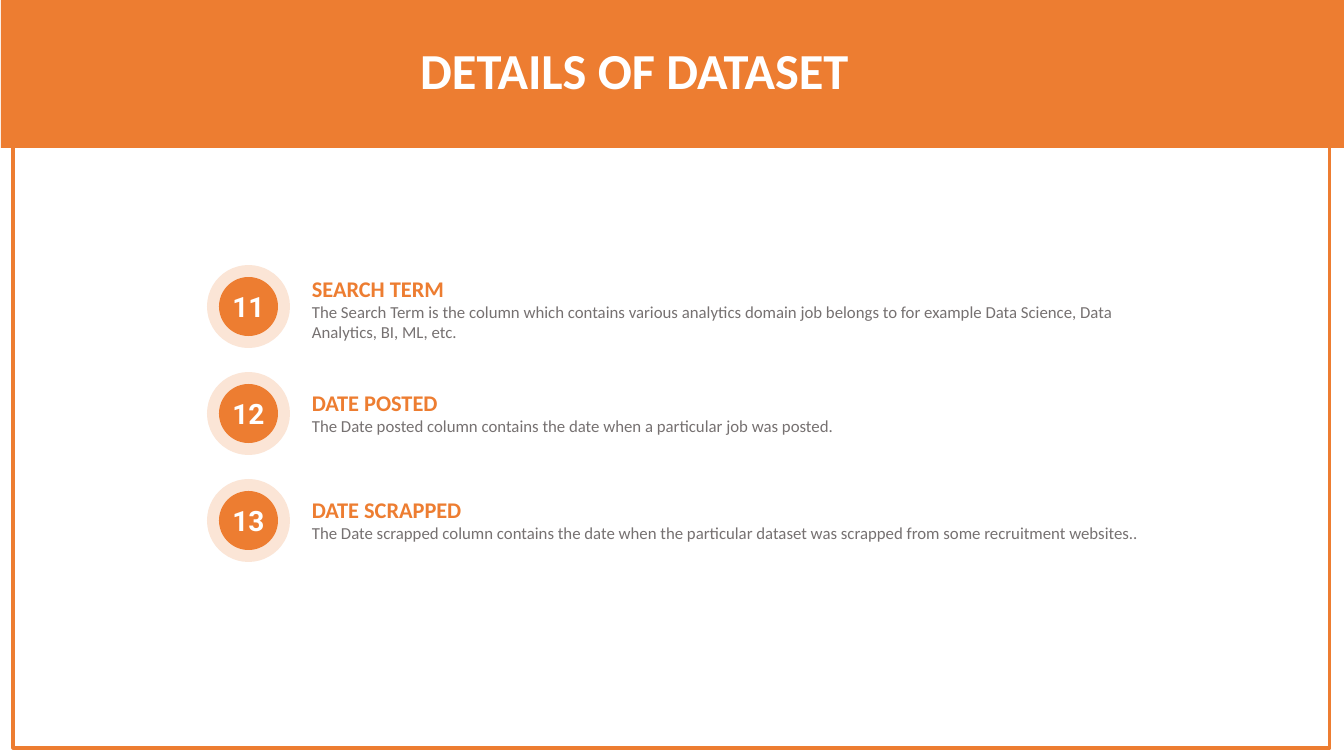
from pptx import Presentation
from pptx.dml.color import RGBColor
from pptx.enum.shapes import MSO_SHAPE
from pptx.enum.text import MSO_ANCHOR, PP_ALIGN
from pptx.util import Pt

PX = 914400 / 100.8
WHITE = RGBColor(0xFF, 0xFF, 0xFF)
ORANGE = RGBColor(0xED, 0x7D, 0x31)
PEACH = RGBColor(0xFB, 0xE5, 0xD6)
GRAY = RGBColor(0x76, 0x71, 0x71)

PITCH = 107
ITEMS = [
    ("11", "SEARCH TERM", "The Search Term is the column which contains various analytics "
     "domain job belongs to for example Data Science, Data Analytics, BI, ML, etc.", 5, 78),
    ("12", "DATE POSTED",
     "The Date posted column contains the date when a particular job was posted.", 12, 57),
    ("13", "DATE SCRAPPED", "The Date scrapped column contains the date when the particular "
     "dataset was scrapped from some recruitment websites..", 12, 78),
]


def emu(*sizes):
    return [round(size * PX) for size in sizes]


def draw(slide, kind, box, fill, line=None):
    shape = slide.shapes.add_shape(kind, *emu(*box))
    shape.shadow.inherit = False
    shape.fill.solid()
    shape.fill.fore_color.rgb = fill
    if line:
        shape.line.color.rgb = line
        shape.line.width = Pt(2.25)
    else:
        shape.line.fill.background()
    return shape


def write(para, text, size, color, bold=False, font="Calibri", align=PP_ALIGN.LEFT):
    para.alignment = align
    run = para.add_run()
    run.text = text
    run.font.size = Pt(size)
    run.font.bold = bold
    run.font.name = font
    run.font.color.rgb = color


def frame(slide, box):
    draw(slide, MSO_SHAPE.RECTANGLE, box, WHITE, ORANGE)


def add_text(slide, box):
    body = slide.shapes.add_textbox(*emu(*box)).text_frame
    body.word_wrap = True
    return body


def header(slide, box, title):
    left, top, width, height = box
    draw(slide, MSO_SHAPE.RECTANGLE, box, ORANGE)
    body = add_text(slide, (left + 284, top + 34, 699, 72))
    write(body.paragraphs[0], title, 36, WHITE, bold=True, align=PP_ALIGN.CENTER)


def badge(slide, box, label):
    left, top, side, _ = box
    draw(slide, MSO_SHAPE.OVAL, box, PEACH)
    inset = 12
    core = side - 2 * inset
    disc = draw(slide, MSO_SHAPE.OVAL, (left + inset, top + inset, core, core), ORANGE)
    body = disc.text_frame
    body.word_wrap = False
    body.vertical_anchor = MSO_ANCHOR.MIDDLE
    body.margin_left = body.margin_right = body.margin_top = body.margin_bottom = 0
    write(body.paragraphs[0], label, 20, WHITE, bold=True, font="Roboto",
          align=PP_ALIGN.CENTER)


def entry(slide, box, item):
    left, top, width, height = box
    label, name, detail, drop, tall = item
    badge(slide, (left, top, height, height), label)
    gap = 95
    body = add_text(slide, (left + gap, top + drop, width - gap, tall))
    write(body.paragraphs[0], name, 16, ORANGE, bold=True)
    write(body.add_paragraph(), detail, 12, GRAY)


def main():
    deck = Presentation()
    deck.slide_width, deck.slide_height = emu(1344, 756)
    slide = deck.slides.add_slide(deck.slide_layouts[6])
    frame(slide, (13, 9, 1317, 739))
    header(slide, (1, 0, 1343, 148), "DETAILS OF DATASET")
    for row, item in enumerate(ITEMS):
        entry(slide, (207, 265 + row * PITCH, 971, 83), item)
    deck.save("out.pptx")


if __name__ == "__main__":
    main()
